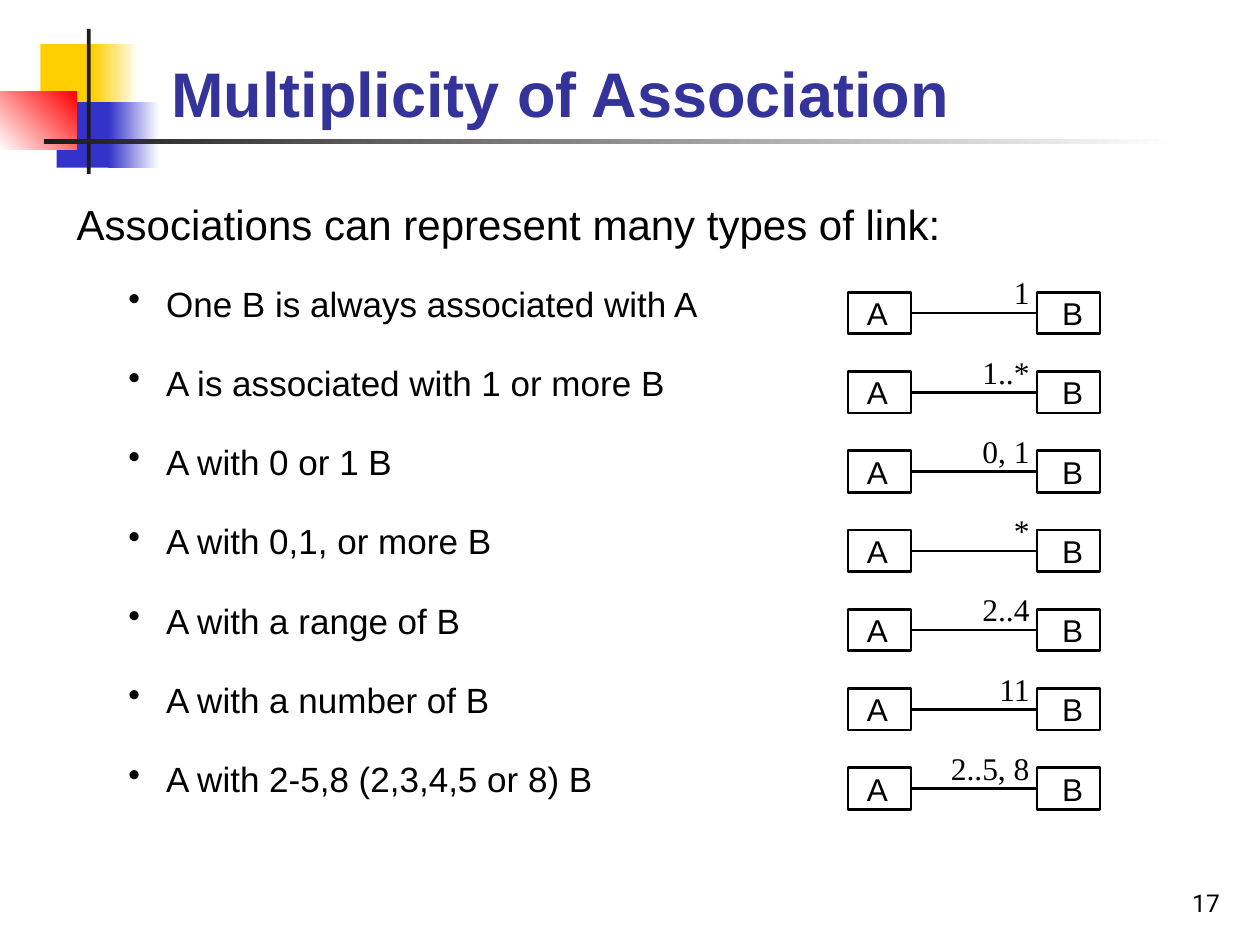
from dataclasses import dataclass

from pptx import Presentation
from pptx.dml.color import RGBColor
from pptx.enum.shapes import MSO_CONNECTOR as Connector, MSO_SHAPE as Shape
from pptx.enum.text import MSO_ANCHOR as Anchor, MSO_AUTO_SIZE as AutoSize, PP_ALIGN as Align
from pptx.oxml.xmlchemy import OxmlElement
from pptx.util import Inches, Pt


@dataclass(frozen=True)
class Theme:
    ink: str = "000000"
    title: str = "333399"
    yellow: str = "FFCF01"
    blue: str = "3333CC"
    red: str = "FF0000"
    bar: str = "1C1C1C"
    paper: str = "FFFFFF"
    sans: str = "Arial"
    serif: str = "Times New Roman"
    number_font: str = "Roboto"
    title_size: float = 36
    lead_size: float = 24
    point_size: float = 20
    label_size: float = 18
    number_size: float = 14
    line_width: float = 1.5


# The slide is a grid of 100 columns by 75 rows
COLUMNS, ROWS = 100, 75
WIDTH, HEIGHT = Inches(10), Inches(7.5)


def write(frame, text, size, font=Theme.sans, color=Theme.ink, bold=False, align=Align.LEFT,
          anchor=Anchor.TOP, wrap=True, bullet=None, left_inset=0.1, side_inset=0.1):
    frame.auto_size = AutoSize.NONE
    frame.word_wrap = wrap
    frame.vertical_anchor = anchor
    frame.margin_left, frame.margin_right = Inches(left_inset), Inches(side_inset)
    frame.margin_top = frame.margin_bottom = Inches(0.05)
    paragraph = frame.paragraphs[0]
    paragraph.text = text
    paragraph.alignment = align
    if bullet:
        properties = paragraph._p.get_or_add_pPr()
        hanging = Inches(0.3)
        properties.set("marL", str(hanging))
        properties.set("indent", str(-hanging))
        mark = OxmlElement("a:buChar")
        mark.set("char", bullet)
        properties.append(mark)
    style = paragraph.runs[0].font
    style.name, style.size, style.bold = font, Pt(size), bold
    style.color.rgb = RGBColor.from_string(color)


class SlideBuilder:
    def __init__(self, presentation, theme):
        self.theme = theme
        self.slide = presentation.slides.add_slide(presentation.slide_layouts[5])
        self.shapes = self.slide.shapes

    def area(self, column, row, columns, rows):
        """Turn grid units into slide lengths."""
        across, down = WIDTH / COLUMNS, HEIGHT / ROWS
        return [round(n) for n in (column * across, row * down, columns * across, rows * down)]

    def title(self, text, *cell):
        holder = self.shapes.title
        holder.left, holder.top, holder.width, holder.height = self.area(*cell)
        write(holder.text_frame, text, self.theme.title_size, color=self.theme.title,
              bold=True, anchor=Anchor.BOTTOM)

    def text(self, text, *cell, **style):
        write(self.shapes.add_textbox(*self.area(*cell)).text_frame, text, **style)

    def block(self, *cell, start, end=None, angle=0):
        """Add a borderless block, graded from start to end when end is given."""
        block = self.shapes.add_shape(Shape.RECTANGLE, *self.area(*cell))
        block.shadow.inherit = False
        block.line.fill.background()
        if end:
            block.fill.gradient()
            block.fill.gradient_angle = angle
            for stop, color in zip(block.fill.gradient_stops, (start, end)):
                stop.color.rgb = RGBColor.from_string(color)
        else:
            block.fill.solid()
            block.fill.fore_color.rgb = RGBColor.from_string(start)

    def class_box(self, name, *cell, left_inset):
        box = self.shapes.add_shape(Shape.RECTANGLE, *self.area(*cell))
        box.shadow.inherit = False
        box.fill.background()
        self.outline(box.line)
        write(box.text_frame, name, self.theme.label_size, anchor=Anchor.MIDDLE,
              wrap=False, left_inset=left_inset, side_inset=0)
        return box

    def link(self, source, target):
        line = self.shapes.add_connector(Connector.STRAIGHT, 0, 0, 0, 0)
        line.begin_connect(source, 3)
        line.end_connect(target, 1)
        self.outline(line.line)
        line._element.spPr.append(OxmlElement("a:effectLst"))

    def outline(self, line):
        line.color.rgb = RGBColor.from_string(self.theme.ink)
        line.width = Pt(self.theme.line_width)


ASSOCIATIONS = [
    ("One B is always associated with A", "1"),
    ("A is associated with 1 or more B", "1..*"),
    ("A with 0 or 1 B", "0, 1"),
    ("A with 0,1, or more B", "*"),
    ("A with a range of B", "2..4"),
    ("A with a number of B", "11"),
    ("A with 2-5,8 (2,3,4,5 or 8) B", "2..5, 8"),
]
FIRST_ROW, ROW_STEP = 23.2, 6.29


def main():
    theme = Theme()
    presentation = Presentation()
    presentation.slide_width, presentation.slide_height = WIDTH, HEIGHT
    page = SlideBuilder(presentation, theme)

    # Corner decoration and rule under the title
    page.block(3.2, 3.5, 4.8, 5.2, start=theme.yellow)
    page.block(7.4, 3.5, 3.6, 5.2, start=theme.yellow, end=theme.paper)
    page.block(4.5, 8.1, 4.6, 5.2, start=theme.blue)
    page.block(8.6, 8.1, 4, 5.2, start=theme.blue, end=theme.paper)
    page.block(0, 7.3, 6.1, 4.6, start=theme.paper, end=theme.red, angle=45)
    page.block(6.9, 2.3, 0.3, 11.5, start=theme.bar)
    page.block(3.5, 11, 90, 0.4, start=theme.bar, end=theme.paper)

    # Title, lead sentence and page number
    page.title("Multiplicity of Association", 12.6, 2.3, 85.2, 8.5)
    page.text("Associations can represent many types of link:", 5.1, 15.3, 73.2, 5.9,
              size=theme.lead_size)
    page.text("17", 77, 68.3, 20.8, 5, size=theme.number_size, font=theme.number_font,
              align=Align.RIGHT, anchor=Anchor.BOTTOM)

    # One association per row: statement, two classes, link and multiplicity
    for index, (statement, multiplicity) in enumerate(ASSOCIATIONS):
        row = FIRST_ROW + index * ROW_STEP
        page.text(statement, 9.2, row - 1.3, 49, 4.4, size=theme.point_size, bullet="•")
        class_a = page.class_box("A", 67.3, row, 5, 3.3, left_inset=0.15)
        class_b = page.class_box("B", 82.3, row, 5, 3.3, left_inset=0.2)
        page.link(class_a, class_b)
        page.text(multiplicity, 72.7, row - 2, 10, 4, size=theme.label_size,
                  font=theme.serif, align=Align.RIGHT)

    presentation.save("out.pptx")


if __name__ == "__main__":
    main()
